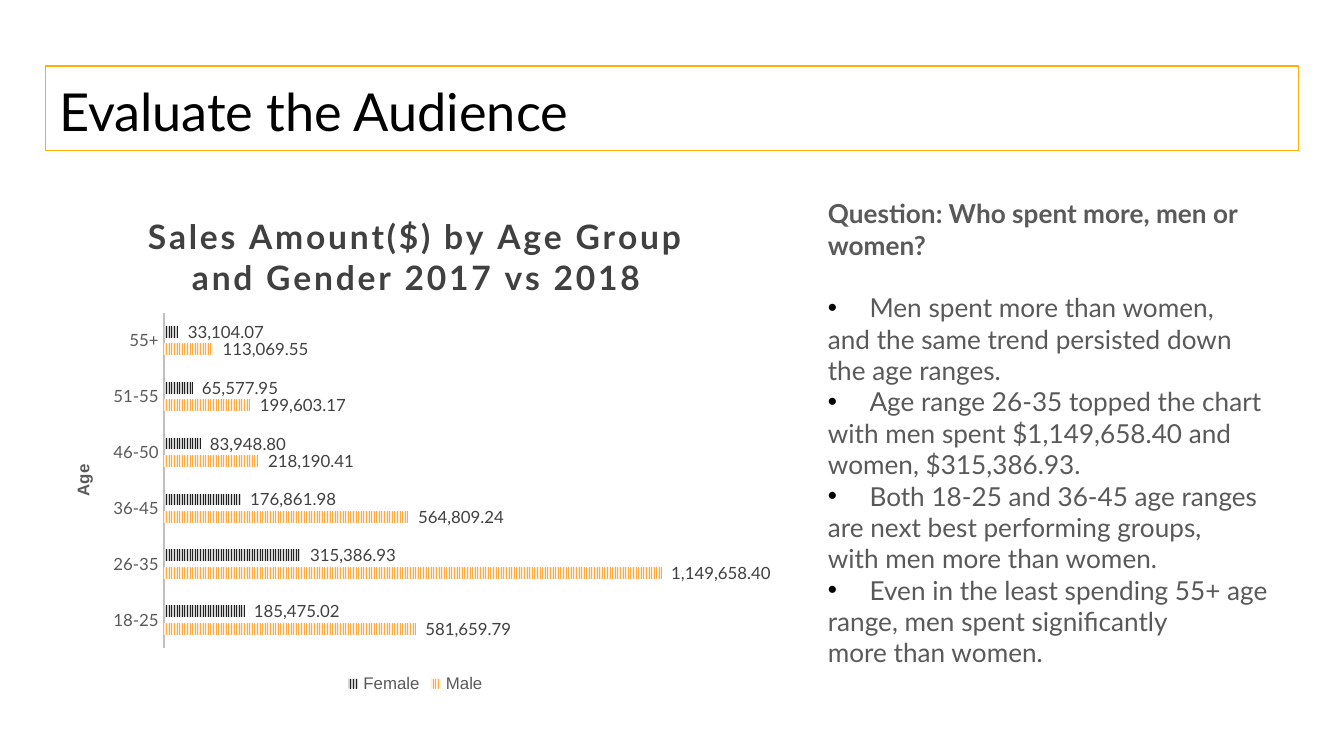
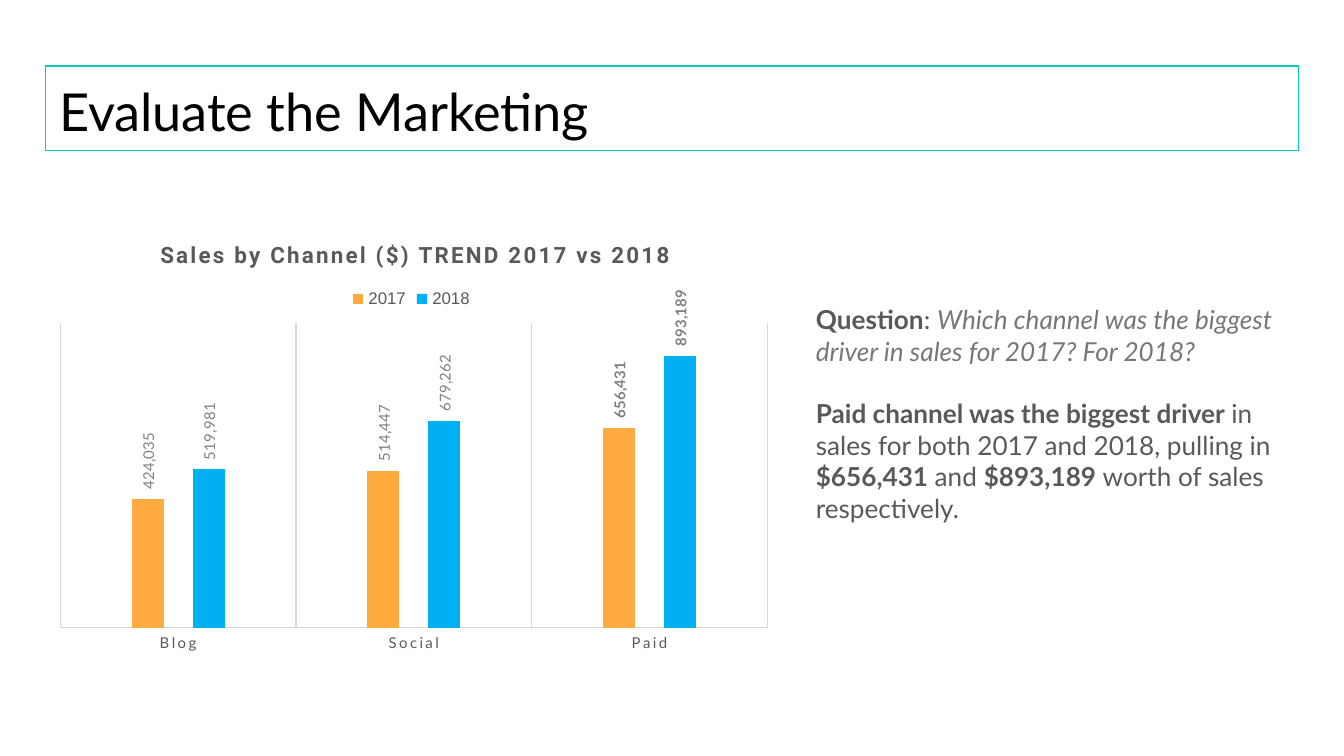
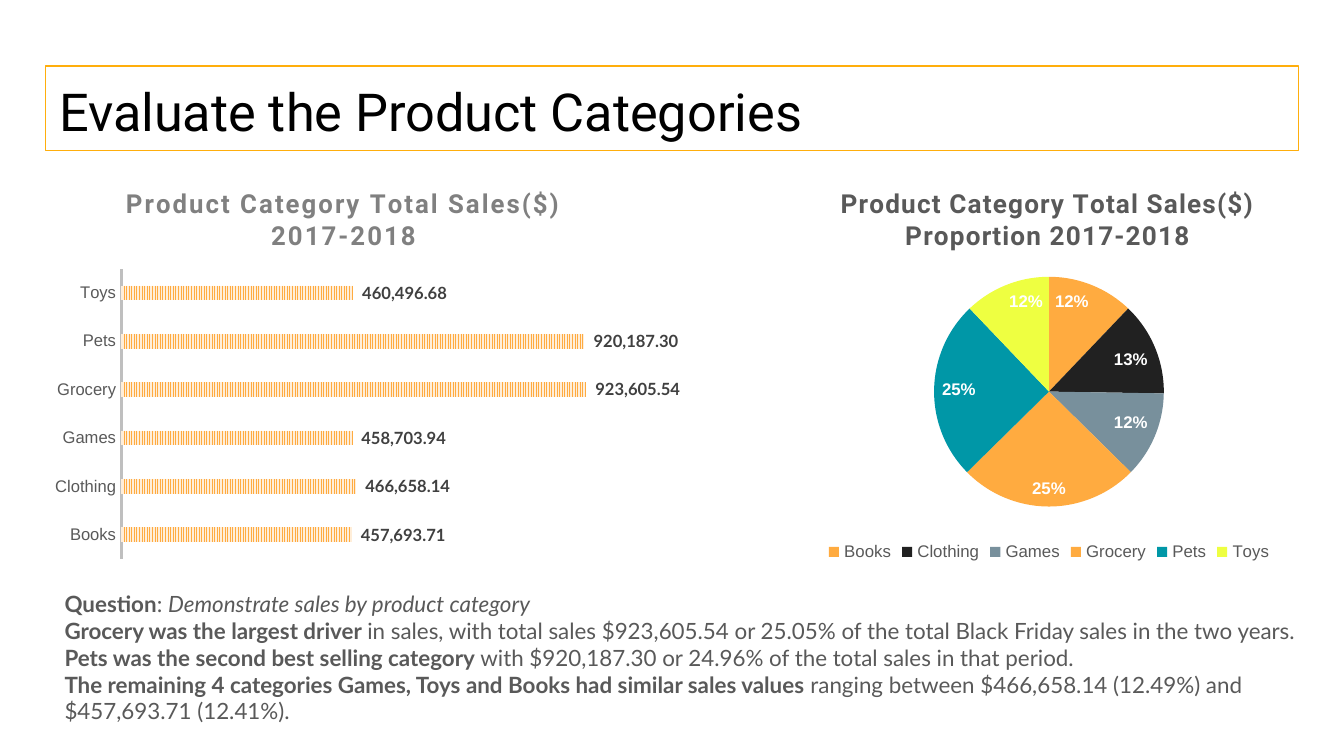
from dataclasses import dataclass
from typing import Any, Optional

import lxml.etree
import pptx
import pptx.chart.data
import pptx.dml.color
import pptx.enum.chart
import pptx.enum.dml
import pptx.enum.text
import pptx.oxml.ns
import pptx.util

Inches = pptx.util.Inches
Kind = pptx.enum.chart.XL_CHART_TYPE
Spot = pptx.enum.chart.XL_LABEL_POSITION
Side = pptx.enum.chart.XL_LEGEND_POSITION
qn = pptx.oxml.ns.qn

# Shared colours and formats
GOLD, TEAL = "FFAE0C", "02CCBA"
GREY, DARK, MID, PALE = "595959", "404040", "808080", "D9D9D9"
ORANGE, BLACK, WHITE = "FFAB40", "212121", "FFFFFF"
CENTS = '_(* #,##0.00_);_(* \\(#,##0.00\\);_(* "-"??_);_(@_)'
WHOLE = '_(* #,##0_);_(* \\(#,##0\\);_(* "-"??_);_(@_)'
GOODS = ["Books", "Clothing", "Games", "Grocery", "Pets", "Toys"]
UPRIGHT = "-5400000"


@dataclass
class Run:
    text: str
    bold: bool = False
    slant: bool = False
    color: str = GREY


@dataclass
class Para:
    runs: list[Run]
    dot: bool = False
    gap: float = 0


@dataclass
class Series:
    name: str
    vals: list[float]
    fill: str
    back: Optional[str] = None


@dataclass
class Graph:
    kind: Any
    box: tuple
    title: str
    face: dict
    spot: tuple
    plot: tuple
    cats: list[str]
    rows: list[Series]
    label: dict
    code: str = CENTS
    place: Any = Spot.OUTSIDE_END
    legend: Any = None
    key: Optional[tuple] = None
    track: int = 100


def paint(color: Any, code: str) -> None:
    color.rgb = pptx.dml.color.RGBColor.from_string(code)


def style(font: Any, form: dict) -> None:
    for name, value in form.items():
        if name == "color":
            paint(font.color, value)
        else:
            setattr(font, name, pptx.util.Pt(value) if name == "size" else value)


def look(name: str, size: float, color: str, bold: bool = False) -> dict:
    return {"name": name, "size": size, "color": color, "bold": bold}


def rule(line: Any, color: str, width: float) -> None:
    paint(line.color, color)
    line.width = pptx.util.Pt(width)


def move(shape: Any, box: tuple) -> None:
    for name, value in zip(("left", "top", "width", "height"), box):
        setattr(shape, name, Inches(value))


# Slide frame: title band and body text
def start(deck: Any, title: str, edge: str, face: str) -> Any:
    slide = deck.slides.add_slide(deck.slide_layouts[1])
    band = slide.shapes.title
    move(band, (0.34, 0.49, 9.32, 0.63))
    rule(band.line, edge, 0.75)
    frame = band.text_frame
    for side in ("left", "top", "right", "bottom"):
        setattr(frame, f"margin_{side}", Inches(0.1))
    frame.vertical_anchor = pptx.enum.text.MSO_ANCHOR.TOP
    frame.auto_size = pptx.enum.text.MSO_AUTO_SIZE.NONE
    frame.text = title
    para = frame.paragraphs[0]
    para.alignment = pptx.enum.text.PP_ALIGN.LEFT
    style(para.runs[0].font, look(face, 28, "000000"))
    return slide


def mark(para: Any, dot: bool) -> None:
    props = para._p.get_or_add_pPr()
    inset = Inches(0.31) if dot else 0
    props.set("marL", str(inset))
    props.set("indent", str(-inset))
    if dot:
        tint = lxml.etree.SubElement(props, qn("a:buClr"))
        lxml.etree.SubElement(tint, qn("a:srgbClr")).set("val", "000000")
        lxml.etree.SubElement(props, qn("a:buChar")).set("char", "•")
    else:
        lxml.etree.SubElement(props, qn("a:buNone"))


def write(slide: Any, box: tuple, size: float, paras: list[Para]) -> None:
    body = slide.placeholders[1]
    move(body, box)
    frame = body.text_frame
    frame.word_wrap = True
    frame.auto_size = pptx.enum.text.MSO_AUTO_SIZE.SHAPE_TO_FIT_TEXT
    for i, item in enumerate(paras):
        para = frame.add_paragraph() if i else frame.paragraphs[0]
        mark(para, item.dot)
        para.space_before = pptx.util.Pt(item.gap)
        for part in item.runs:
            run = para.add_run()
            run.text = part.text
            form = look("Lato", size, part.color, part.bold)
            style(run.font, form | {"italic": part.slant})


# Chart parts
def place(part: Any, spot: tuple) -> None:
    for old in part.xpath("c:layout"):
        part.remove(old)
    lead = part.xpath("c:tx | c:legendPos")
    layout = lxml.etree.Element(qn("c:layout"))
    part.insert(part.index(lead[0]) + 1 if lead else 0, layout)
    manual = lxml.etree.SubElement(layout, qn("c:manualLayout"))
    pairs = [("xMode", "edge"), ("yMode", "edge"), *zip("xywh", spot)]
    if len(spot) == 4:
        pairs.insert(0, ("layoutTarget", "inner"))
    for name, value in pairs:
        lxml.etree.SubElement(manual, qn(f"c:{name}")).set("val", str(value))


def draw(slide: Any, graph: Graph) -> Any:
    data = pptx.chart.data.CategoryChartData(number_format=graph.code)
    data.categories = graph.cats
    for row in graph.rows:
        data.add_series(row.name, row.vals)
    box = [Inches(n) for n in graph.box]
    chart = slide.shapes.add_chart(graph.kind, *box, data).chart
    style(chart.font, look("Arial", 10, "000000"))
    # Title, legend and plot area
    chart.has_title = True
    frame = chart.chart_title.text_frame
    frame.text = graph.title
    run = frame.paragraphs[0].runs[0]
    style(run.font, graph.face)
    run._r.get_or_add_rPr().set("spc", str(graph.track))
    place(chart.chart_title._element, graph.spot)
    place(chart._chartSpace.chart.plotArea, graph.plot)
    chart.has_legend = graph.legend is not None
    if chart.has_legend:
        chart.legend.position = graph.legend
        chart.legend.include_in_layout = False
        style(chart.legend.font, look("Arial", 9, GREY))
        if graph.key:
            place(chart.legend._element, graph.key)
    # Series and labels
    pie = graph.kind == Kind.PIE
    chart.plots[0].vary_by_categories = pie
    form = {"show_value": not pie, "show_percentage": pie,
            "position": graph.place,
            "number_format": "0%" if pie else graph.code,
            "number_format_is_linked": False}
    for row, series in zip(graph.rows, chart.plots[0].series):
        fill = series.format.fill
        if row.back:
            fill.patterned()
            fill.pattern = pptx.enum.dml.MSO_PATTERN.NARROW_VERTICAL
            paint(fill.back_color, row.back)
        else:
            fill.solid()
        paint(fill.fore_color, row.fill)
        labels = series.data_labels
        for name, value in form.items():
            setattr(labels, name, value)
        style(labels.font, graph.label)
    return chart


def scale(chart: Any, top: float, face: dict, line: tuple,
          gap: int, lap: int) -> None:
    plot, cats, vals = chart.plots[0], chart.category_axis, chart.value_axis
    plot.gap_width, plot.overlap = gap, lap
    none = pptx.enum.chart.XL_TICK_MARK.NONE
    for axis in (cats, vals):
        axis.major_tick_mark = axis.minor_tick_mark = none
        axis.has_major_gridlines = False
    style(cats.tick_labels.font, face)
    rule(cats.format.line, *line)
    vals.minimum_scale, vals.maximum_scale = 0, top
    vals.tick_label_position = pptx.enum.chart.XL_TICK_LABEL_POSITION.NONE
    vals.format.line.fill.background()


# Slides
def show_buyers(deck: Any) -> None:
    slide = start(deck, "Evaluate the Audience", GOLD, "Lato")
    chart = draw(slide, Graph(
        Kind.BAR_CLUSTERED, (0.34, 1.42, 5.5, 3.78),
        "Sales Amount($) by Age Group and Gender 2017 vs 2018",
        look("Lato", 18, DARK, True), (0.13, 0.03), (0.16, 0.24, 0.82, 0.66),
        ["18-25", "26-35", "36-45", "46-50", "51-55", "55+"],
        [Series("Male", [581659.79, 1149658.4, 564809.24, 218190.41,
                         199603.17, 113069.55], ORANGE, "FFEED9"),
         Series("Female", [185475.02, 315386.93, 176861.98, 83948.8,
                           65577.95, 33104.07], BLACK, "D3D3D3")],
        look("Lato", 9, DARK), legend=Side.BOTTOM, track=150))
    scale(chart, 1400000, look("Lato", 9, GREY), ("BFBFBF", 1.5), 227, -48)
    frame = chart.category_axis.axis_title.text_frame
    frame.text = "Age"
    frame._txBody.bodyPr.set("rot", UPRIGHT)
    style(frame.paragraphs[0].runs[0].font, look("Arial", 9, GREY, True))

    points = [
        ("Men spent more than women,",
         "and the same trend persisted down", "the age ranges."),
        ("Age range 26-35 topped the chart",
         "with men spent $1,149,658.40 and", "women, $315,386.93."),
        ("Both 18-25 and 36-45 age ranges",
         "are next best performing groups,", "with men more than women."),
        ("Even in the least spending 55+ age",
         "range, men spent significantly", "more than women."),
    ]
    paras = [Para([Run("Question: Who spent more, men or women?", True)])]
    paras += [Para([Run(line)], dot=not i)
              for point in points for i, line in enumerate(point)]
    paras[1].gap = 16.8
    write(slide, (6.06, 1.42, 3.6, 3.64), 14, paras)


def show_media(deck: Any) -> None:
    slide = start(deck, "Evaluate the Marketing", TEAL, "Lato")
    face = look("Lato", 8, MID)
    chart = draw(slide, Graph(
        Kind.COLUMN_CLUSTERED, (0.34, 1.62, 5.48, 3.28),
        "Sales by Channel ($) TREND 2017 vs 2018",
        look("Roboto", 12, GREY, True), (0.15, 0.04), (0.02, 0.24, 0.96, 0.69),
        ["Blog", "Social", "Paid"],
        [Series("2017", [424035, 514447, 656431], ORANGE),
         Series("2018", [519981, 679262, 893189], "00B0F0")],
        face, WHOLE, legend=Side.TOP, key=(0.41, 0.15), track=120))
    scale(chart, 1000000, look("Lato", 8, GREY), (PALE, 0.75), 444, -90)
    chart.value_axis.visible = False
    cats = chart.category_axis
    cats.has_major_gridlines = True
    rule(cats.major_gridlines.format.line, PALE, 0.75)
    for props in cats._element.xpath("c:txPr//a:defRPr"):
        props.set("spc", "120")
    # Upright labels, with the best channel in bold
    for series in chart.plots[0].series:
        label = series.points[2].data_label
        style(label.font, face | {"bold": True})
        label.position = Spot.OUTSIDE_END
        for body in series._element.xpath("c:dLbls//c:txPr/a:bodyPr"):
            body.set("rot", UPRIGHT)
            body.set("vert", "horz")

    write(slide, (5.97, 2.21, 3.69, 1.99), 14, [
        Para([Run("Question", True), Run(": "),
              Run("Which channel was the biggest driver in sales for 2017? "
                  "For 2018?", slant=True, color="777777")]),
        Para([Run("Paid channel was the biggest driver ", True),
              Run("in sales for both 2017 and 2018, pulling in "),
              Run("$656,431 ", True), Run("and "), Run("$893,189 ", True),
              Run("worth of sales respectively.")], gap=16.8)])


def show_goods(deck: Any) -> None:
    slide = start(deck, "Evaluate the Product Categories", GOLD, "Roboto")
    chart = draw(slide, Graph(
        Kind.BAR_CLUSTERED, (0.34, 1.22, 4.75, 3),
        "Product Category Total Sales($) 2017-2018",
        look("Roboto", 14, MID, True), (0.12, 0.04), (0.12, 0.26, 0.8, 0.72),
        GOODS,
        [Series("Series 1", [457693.71, 466658.14, 458703.94, 923605.54,
                             920187.3, 460496.68], ORANGE, "FFEED9")],
        look("Lato", 9, DARK, True)))
    scale(chart, 1000000, look("Arial", 9, GREY), ("BFBFBF", 1.5), 227, -48)

    chart = draw(slide, Graph(
        Kind.PIE, (5.54, 1.22, 4.53, 3),
        "Product Category Total Sales($) Proportion 2017-2018",
        look("Roboto", 14, GREY, True), (0.15, 0.04), (0.31, 0.28, 0.38, 0.57),
        GOODS, [Series("Series 1", [12, 13, 12, 25, 25, 12], ORANGE)],
        look("Arial", 9, WHITE, True), CENTS, Spot.INSIDE_END, Side.BOTTOM,
        track=50))
    hues = [ORANGE, BLACK, "78909C", ORANGE, "0097A7", "EEFF41"]
    for i, hue in enumerate(hues):
        fill = chart.plots[0].series[0].points[i].format.fill
        fill.solid()
        paint(fill.fore_color, hue)

    write(slide, (0.38, 4.34, 9.62, 1.11), 12, [
        Para([Run("Question", True), Run(": "),
              Run("Demonstrate sales by product category", slant=True)]),
        Para([Run("Grocery was the largest driver ", True),
              Run("in sales, with total sales $923,605.54 or 25.05% of the "
                  "total Black Friday sales in the two years.")]),
        Para([Run("Pets was the second best selling category ", True),
              Run("with $920,187.30 or 24.96% of the total sales in that "
                  "period.")]),
        Para([Run("The remaining 4 categories Games, Toys and Books had "
                  "similar sales values ", True),
              Run("ranging between $466,658.14 (12.49%) and $457,693.71 "
                  "(12.41%).")])])


def main() -> None:
    deck = pptx.Presentation()
    deck.slide_width = Inches(10)
    deck.slide_height = deck.slide_width * 9 // 16
    for show in (show_buyers, show_media, show_goods):
        show(deck)
    deck.save("out.pptx")


if __name__ == "__main__":
    main()
